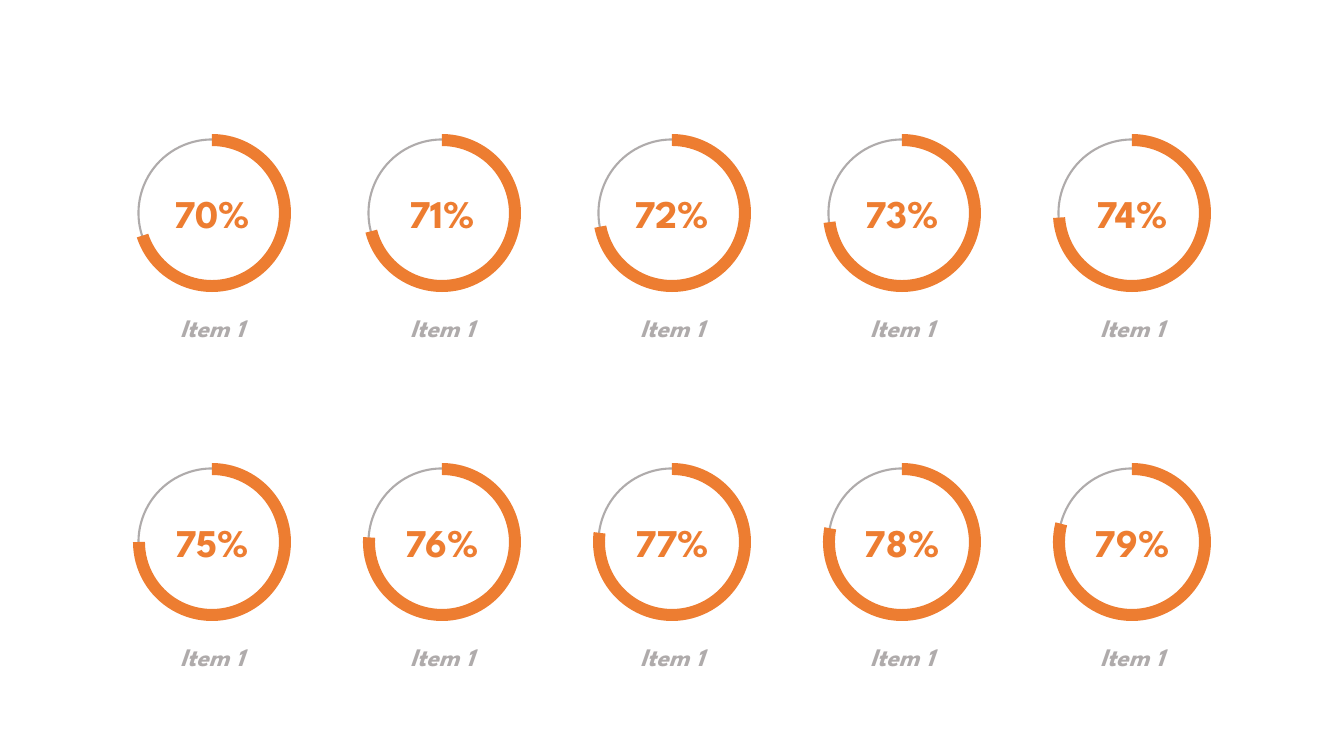
from pptx import Presentation
from pptx.dml.color import RGBColor
from pptx.enum.shapes import MSO_SHAPE
from pptx.enum.text import MSO_AUTO_SIZE, PP_ALIGN
from pptx.util import Pt

ORANGE = RGBColor(0xED, 0x7D, 0x31)
GREY = RGBColor(0xAF, 0xAB, 0xAB)
FONT = "League Spartan"
OVAL = MSO_SHAPE.OVAL
ARC = MSO_SHAPE.BLOCK_ARC
GROW = MSO_AUTO_SIZE.SHAPE_TO_FIT_TEXT
CENTER = PP_ALIGN.CENTER

SCALE = 914400 / 100.8
LEFT, TOP = 212, 213
STEP, DROP = 230, 329
COLS = 5
START = 270
BAND = 12
RING = 158


def box(x, y, w, h):
    return [round(v * SCALE) for v in (x - w / 2, y - h / 2, w, h)]


def add_track(group, x, y):
    track = group.shapes.add_shape(OVAL, *box(x, y, 147, 147))
    track.shadow.inherit = False
    track.fill.background()
    track.line.color.rgb = GREY
    track.line.width = Pt(1.5)


def add_arc(group, x, y, share):
    arc = group.shapes.add_shape(ARC, *box(x, y, RING, RING))
    arc.shadow.inherit = False
    arc.fill.solid()
    arc.fill.fore_color.rgb = ORANGE
    arc.line.fill.background()
    end = (START + share * 3.6) % 360
    arc.adjustments[0] = START * 0.6
    arc.adjustments[1] = end * 0.6
    arc.adjustments[2] = BAND / RING


def add_text(group, place, text, color, **style):
    frame = group.shapes.add_textbox(*place).text_frame
    frame.word_wrap = True
    frame.auto_size = GROW
    line = frame.paragraphs[0]
    line.alignment = CENTER
    run = line.add_run()
    run.text = text
    for key, value in {"name": FONT, "bold": True, **style}.items():
        setattr(run.font, key, value)
    run.font.color.rgb = color


def add_gauge(slide, x, y, share):
    group = slide.shapes.add_group_shape()
    add_track(group, x, y)
    add_text(group, box(x, y, 151, 57), f"{share}%", ORANGE, size=Pt(28))
    add_text(group, box(x, y + 114, 226, 40), "Item 1", GREY,
             size=Pt(18), italic=True)
    add_arc(group, x, y, share)


def main():
    deck = Presentation()
    deck.slide_width = round(1344 * SCALE)
    deck.slide_height = round(756 * SCALE)
    slide = deck.slides.add_slide(deck.slide_layouts[6])
    for i, share in enumerate(range(70, 80)):
        row, col = divmod(i, COLS)
        add_gauge(slide, LEFT + col * STEP, TOP + row * DROP, share)
    deck.save("out.pptx")


if __name__ == "__main__":
    main()
